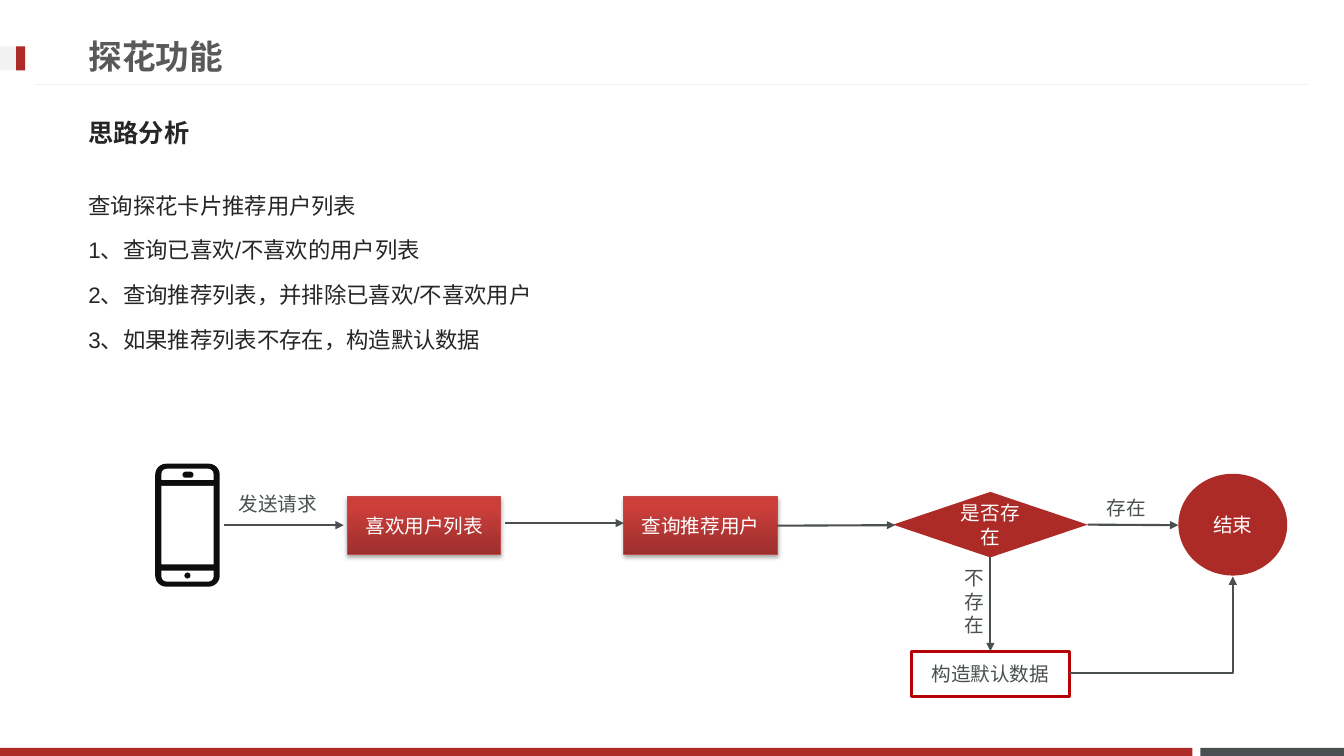
from lxml import etree
from pptx import Presentation
from pptx import util as u
from pptx.dml.color import RGBColor
from pptx.enum import shapes, text
from pptx.oxml.ns import qn

COLS, ROWS = 133.33, 75
CELL = u.Inches(0.1)
COLORS = {
    "red": "AD2B26", "slate": "49504F", "pale": "F2F2F2", "white": "FFFFFF",
    "title": "595959", "body": "262626", "phone": "0D0D0D", "outline": "B60206",
    "dark_red": "9C2F2D", "light_red": "CB3E3A", "edge": "BF4C48", "black": "000000",
}
SHAPE = shapes.MSO_SHAPE
LEFT, CENTER = text.PP_ALIGN.LEFT, text.PP_ALIGN.CENTER
TOP, MIDDLE = text.MSO_ANCHOR.TOP, text.MSO_ANCHOR.MIDDLE


def rgb(name):
    """Return the named colour."""
    return RGBColor.from_string(COLORS[name])


def grid(*cells):
    """Turn grid columns and rows into slide lengths."""
    return [u.Emu(round(c * CELL)) for c in cells]


def write(sp, lines, size, font, color, bold=False, align=CENTER, anchor=MIDDLE,
          spacing=None, before=None):
    """Write one paragraph per line into a shape."""
    tf = sp.text_frame
    tf.word_wrap = True
    tf.auto_size = text.MSO_AUTO_SIZE.NONE
    tf.vertical_anchor = anchor
    for i, line in enumerate(lines):
        p = tf.add_paragraph() if i else tf.paragraphs[0]
        p.alignment = align
        if spacing:
            p.line_spacing = spacing
        if before is not None:
            p.space_before = u.Pt(before)
        r = p.add_run()
        r.text = line
        r.font.size, r.font.name, r.font.bold = u.Pt(size), font, bold
        r.font.color.rgb = rgb(color)


def add_text(s, box, lines, size, font, color, **style):
    """Add a text box."""
    sp = s.shapes.add_textbox(*grid(*box))
    write(sp, lines, size, font, color, **style)
    return sp


def add_block(s, kind, box, fill=None, line=None, width=0.75):
    """Add a flat preset shape without shadow."""
    sp = s.shapes.add_shape(kind, *grid(*box))
    sp.shadow.inherit = False
    if fill:
        sp.fill.solid()
        sp.fill.fore_color.rgb = rgb(fill)
    else:
        sp.fill.background()
    if line:
        sp.line.color.rgb = rgb(line)
        sp.line.width = u.Pt(width)
    else:
        sp.line.fill.background()
    return sp


def add_step(s, box, label):
    """Add a raised gradient box for a query step."""
    sp = add_block(s, SHAPE.RECTANGLE, box, "red", "edge")
    sp.fill.gradient()
    sp.fill.gradient_angle = 90
    for stop, color, position in zip(sp.fill.gradient_stops,
                                     ("dark_red", "light_red"), (0, 0.8)):
        stop.color.rgb = rgb(color)
        stop.position = position
    effects = sp._element.spPr.find(qn("a:effectLst"))
    shadow = etree.SubElement(effects, qn("a:outerShdw"), blurRad="40000",
                              dist="23000", dir="5400000", rotWithShape="0")
    tint = etree.SubElement(shadow, qn("a:srgbClr"), val=COLORS["black"])
    etree.SubElement(tint, qn("a:alpha"), val="35000")
    write(sp, [label], 14, "Calibri", "white")
    return sp


def add_line(s, ends, color, width, arrow=False, bent=False):
    """Add a straight or one-bend connector."""
    kind = shapes.MSO_CONNECTOR.ELBOW if bent else shapes.MSO_CONNECTOR.STRAIGHT
    line = s.shapes.add_connector(kind, *grid(*ends))
    line.line.color.rgb = rgb(color)
    line.line.width = u.Pt(width)
    spPr = line._element.spPr
    if bent:
        spPr.find(qn("a:prstGeom")).set("prst", "bentConnector2")
    if arrow:
        etree.SubElement(spPr.find(qn("a:ln")), qn("a:tailEnd"), type="triangle")
    etree.SubElement(spPr, qn("a:effectLst"))
    return line


def add_arrow(s, ends, bent=False):
    """Add a flow arrow."""
    return add_line(s, ends, "slate", 1.5, arrow=True, bent=bent)


def add_frame(s):
    """Draw the title rule, the title marker and the footer bars."""
    for box, color in (((119.1, 74.2, 14.23, 0.8), "slate"),
                       ((0, 74.2, 118.3, 0.8), "red"),
                       ((0, 4.6, 2.5, 2.4), "pale"),
                       ((1.6, 4.6, 0.9, 2.4), "red")):
        add_block(s, SHAPE.RECTANGLE, box, color)
    add_line(s, (129.8, 8.4, 3.5, 8.4), "pale", 0.75)


def add_phone(s, x, y):
    """Draw a phone from its case, panes, speaker and button."""
    case = add_block(s, SHAPE.ROUNDED_RECTANGLE, (x, y, 6.4, 12.2), "phone")
    case.adjustments[0] = 0.17
    for kind, top, height in ((SHAPE.ROUND_2_SAME_RECTANGLE, 0.5, 1.1),
                              (SHAPE.RECTANGLE, 2.2, 7.8),
                              (SHAPE.ROUND_2_SAME_RECTANGLE, 10.6, 1.1)):
        pane = add_block(s, kind, (x + 0.6, y + top, 5.2, height), "white")
        if kind == SHAPE.ROUND_2_SAME_RECTANGLE:
            pane.adjustments[0] = 0.5
            pane.rotation = 180 if top > 5 else 0
    speaker = add_block(s, SHAPE.ROUNDED_RECTANGLE, (x + 2.7, y + 0.8, 1.1, 0.6), "phone")
    speaker.adjustments[0] = 0.5
    add_block(s, SHAPE.OVAL, (x + 2.9, y + 10.8, 0.6, 0.6), "phone")


def add_flow(s):
    """Draw the flow chart from the phone to the end node."""
    add_phone(s, 15.4, 46)
    default = add_block(s, SHAPE.RECTANGLE, (90.4, 64.6, 15.7, 4.5), line="outline", width=2)
    write(default, ["构造默认数据"], 14, "Courier New", "slate")
    add_step(s, (34.5, 49.3, 15.2, 5.7), "喜欢用户列表")
    query = add_step(s, (61.9, 49.3, 15.2, 5.7), "查询推荐用户")
    end = add_block(s, SHAPE.FLOWCHART_CONNECTOR, (116.9, 47, 10.8, 10.1), "red")
    write(end, ["结束"], 14, "Calibri", "white")
    check = add_block(s, SHAPE.FLOWCHART_DECISION, (88.6, 48.8, 19.3, 6.5), "red")
    write(check, ["是否存在"], 14, "Calibri", "white")

    add_arrow(s, (22.2, 52.1, 34.1, 52.1))
    add_arrow(s, (50.1, 51.9, 61.9, 51.9))
    add_arrow(s, (77.1, 52.1, 88.8, 52.1)).begin_connect(query, 3)
    add_arrow(s, (107.9, 52.1, 116.9, 52.1)).begin_connect(check, 3)
    missing = add_arrow(s, (98.2, 55.3, 98.2, 64.6))
    missing.begin_connect(check, 2)
    missing.end_connect(default, 0)
    add_arrow(s, (106.1, 66.8, 122.3, 57.2), bent=True)

    for x, y, lines in ((19.7, 47.7, ["发送请求"]), (103.9, 48.1, ["存在"]),
                        (88.8, 57.4, ["不", "存", "在"])):
        add_text(s, (x, y, 15.7, 4.5), lines, 14, "Courier New", "slate")


def main():
    """Build and save the slide."""
    prs = Presentation()
    prs.slide_width, prs.slide_height = grid(COLS, ROWS)
    s = prs.slides.add_slide(prs.slide_layouts[5])
    add_frame(s)
    title = s.shapes.title
    title.left, title.top, title.width, title.height = grid(7.8, 2.7, 95.9, 5.7)
    write(title, ["探花功能"], 24, "Arial", "title", bold=True, align=LEFT)
    add_text(s, (7.8, 10.3, 117.6, 5.7), ["思路分析"], 18, "Noto Sans CJK JP", "body",
             bold=True, align=LEFT, before=3.6)
    add_text(s, (7.8, 17.2, 117, 19.4),
             ["查询探花卡片推荐用户列表", "1、查询已喜欢/不喜欢的用户列表",
              "2、查询推荐列表，并排除已喜欢/不喜欢用户", "3、如果推荐列表不存在，构造默认数据"],
             16, "Arial", "body", align=LEFT, anchor=TOP, spacing=1.5, before=3.2)
    add_flow(s)
    prs.save("out.pptx")


if __name__ == "__main__":
    main()
